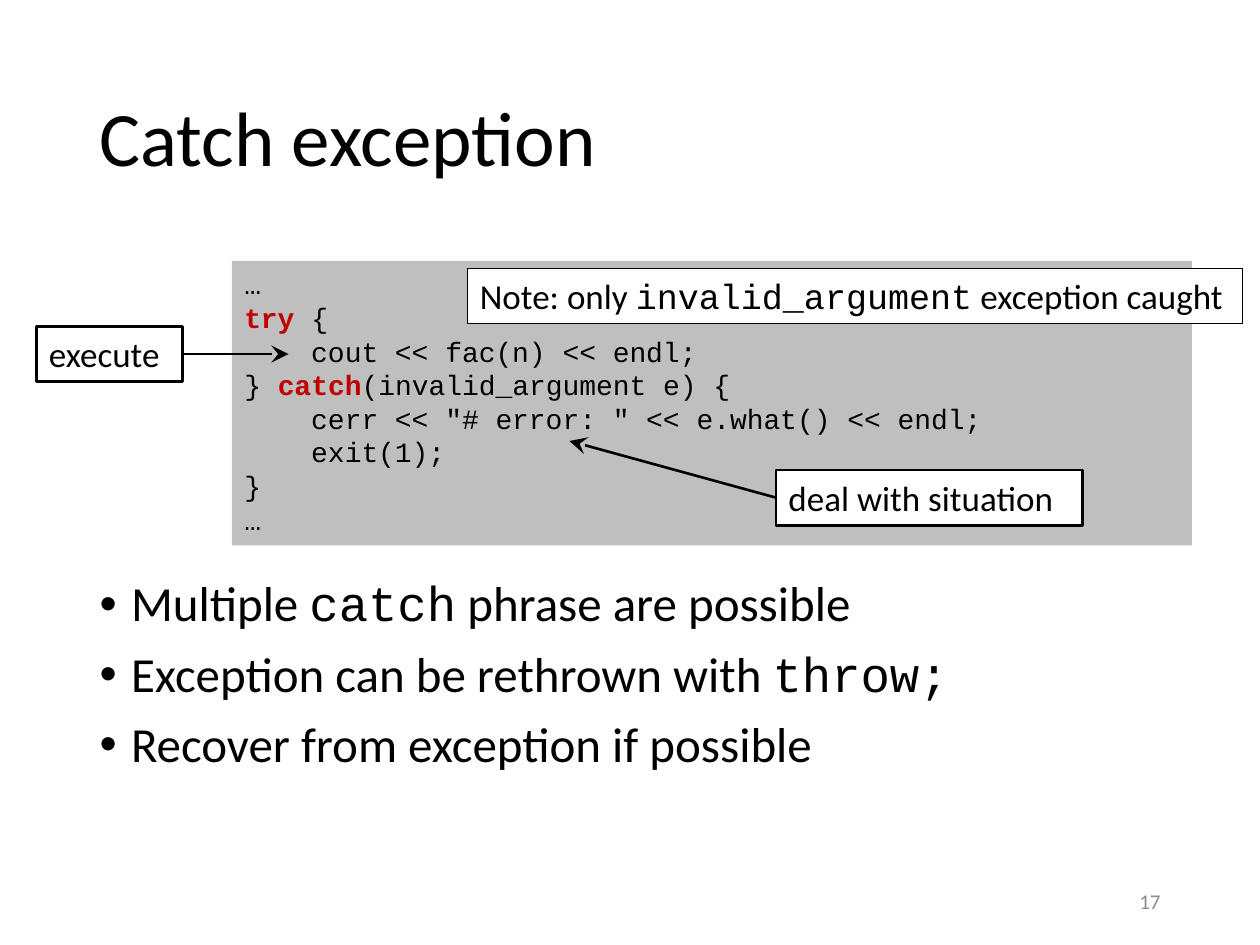
from lxml.etree import SubElement
from pptx import Presentation
from pptx.dml.color import RGBColor
from pptx.enum.shapes import MSO_CONNECTOR, MSO_SHAPE
from pptx.enum.text import MSO_ANCHOR, MSO_AUTO_SIZE, PP_ALIGN
from pptx.oxml.ns import qn
from pptx.util import Inches, Pt

BLACK = "000000"
SANS = {"name": "Calibri"}
MONO = {"name": "Courier New"}
KEYWORD = {"name": "Courier New", "bold": True, "color": "C00000"}
LEFT, RIGHT = 1, 3

CODE = [
    [("…", MONO)],
    [("try", KEYWORD), (" {", MONO)],
    [("    cout << fac(n) << endl;", MONO)],
    [("} ", MONO), ("catch", KEYWORD), ("(invalid_argument e) {", MONO)],
    [('    cerr << "# error: " << e.what() << endl;', MONO)],
    [("    exit(1);", MONO)],
    [("}", MONO)],
    [("…", MONO)],
]
POINTS = [
    [("Multiple ", SANS), ("catch", MONO), (" phrase are possible", SANS)],
    [("Exception can be rethrown with ", SANS), ("throw;", MONO)],
    [("Recover from exception if possible", SANS)],
]
NOTE = [[("Note: only ", SANS), ("invalid_argument", MONO), (" exception caught", SANS)]]


def rgb(hex_color):
    return RGBColor.from_string(hex_color)


def apply(target, values):
    for name, value in values.items():
        setattr(target, name, value)


def place(shape, left, top, width, height):
    apply(shape, {"left": Inches(left), "top": Inches(top),
                  "width": Inches(width), "height": Inches(height)})


def write(frame, lines, size, color=BLACK, paragraph_format=None, **frame_format):
    apply(frame, {"word_wrap": True, "vertical_anchor": MSO_ANCHOR.TOP,
                  "auto_size": MSO_AUTO_SIZE.NONE, **frame_format})
    for index, line in enumerate(lines):
        paragraph = frame.add_paragraph() if index else frame.paragraphs[0]
        apply(paragraph, {"alignment": PP_ALIGN.LEFT, **(paragraph_format or {})})
        for text, style in line:
            run = paragraph.add_run()
            run.text = text
            font_format = {"size": Pt(size), "bold": False, **style}
            run.font.color.rgb = rgb(font_format.pop("color", color))
            apply(run.font, font_format)


def add_box(slide, bounds, lines, size, fill="FFFFFF", line_width=None, wrap=True):
    box = slide.shapes.add_shape(MSO_SHAPE.RECTANGLE, *map(Inches, bounds))
    box.shadow.inherit = False
    box.fill.solid()
    box.fill.fore_color.rgb = rgb(fill)
    if line_width:
        box.line.color.rgb = rgb(BLACK)
        box.line.width = Pt(line_width)
    else:
        box.line.fill.background()
    write(box.text_frame, lines, size, word_wrap=wrap,
          auto_size=MSO_AUTO_SIZE.SHAPE_TO_FIT_TEXT)
    return box


def add_callout(slide, text, bounds, side, target):
    label = add_box(slide, bounds, [[(text, SANS)]], 20, line_width=1.5)
    end = [Inches(value) for value in target]
    arrow = slide.shapes.add_connector(MSO_CONNECTOR.STRAIGHT, *end, *end)
    arrow.begin_connect(label, side)
    arrow.line.color.rgb = rgb(BLACK)
    arrow.line.width = Pt(1.5)
    SubElement(arrow.line._get_or_add_ln(), qn("a:tailEnd"),
               type="stealth", w="lg", len="lg")
    SubElement(arrow._element.spPr, qn("a:effectLst"))


def add_title(slide, text):
    title = slide.shapes.title
    place(title, 0.69, 0.4, 8.62, 1.45)
    write(title.text_frame, [[(text, SANS)]], 44,
          paragraph_format={"line_spacing": 0.9}, vertical_anchor=MSO_ANCHOR.MIDDLE)


def add_points(slide, points):
    body = slide.placeholders[1]
    place(body, 0.69, 4.55, 8.62, 2.2)
    write(body.text_frame, points, 28, paragraph_format={"line_spacing": 0.9})
    for index, paragraph in enumerate(body.text_frame.paragraphs):
        properties = paragraph._p.get_or_add_pPr()
        properties.set("marL", str(Inches(0.25)))
        properties.set("indent", str(-Inches(0.25)))
        SubElement(properties, qn("a:buFont"), typeface="Arial")
        SubElement(properties, qn("a:buChar"), char="•")
        paragraph.space_before = Pt(10 if index else 0)


def add_page_number(slide, number):
    page = slide.shapes.add_textbox(*map(Inches, (7.06, 6.95, 2.25, 0.4)))
    write(page.text_frame, [[(number, SANS)]], 12, "8C8C8C",
          {"alignment": PP_ALIGN.RIGHT}, vertical_anchor=MSO_ANCHOR.MIDDLE)


def main():
    deck = Presentation()
    apply(deck, {"slide_width": Inches(10), "slide_height": Inches(7.5)})
    slide = deck.slides.add_slide(deck.slide_layouts[1])
    add_title(slide, "Catch exception")
    add_points(slide, POINTS)
    add_page_number(slide, "17")
    add_box(slide, (1.84, 2.07, 7.62, 2.26), CODE, 16, fill="BFBFBF")
    add_callout(slide, "deal with situation", (6.16, 3.73, 2.43, 0.44), LEFT, (4.52, 3.5))
    add_box(slide, (3.71, 2.13, 6.15, 0.44), NOTE, 20, line_width=0.75, wrap=False)
    add_callout(slide, "execute", (0.29, 2.59, 1.16, 0.44), RIGHT, (2.29, 2.81))
    deck.save("out.pptx")


if __name__ == "__main__":
    main()
